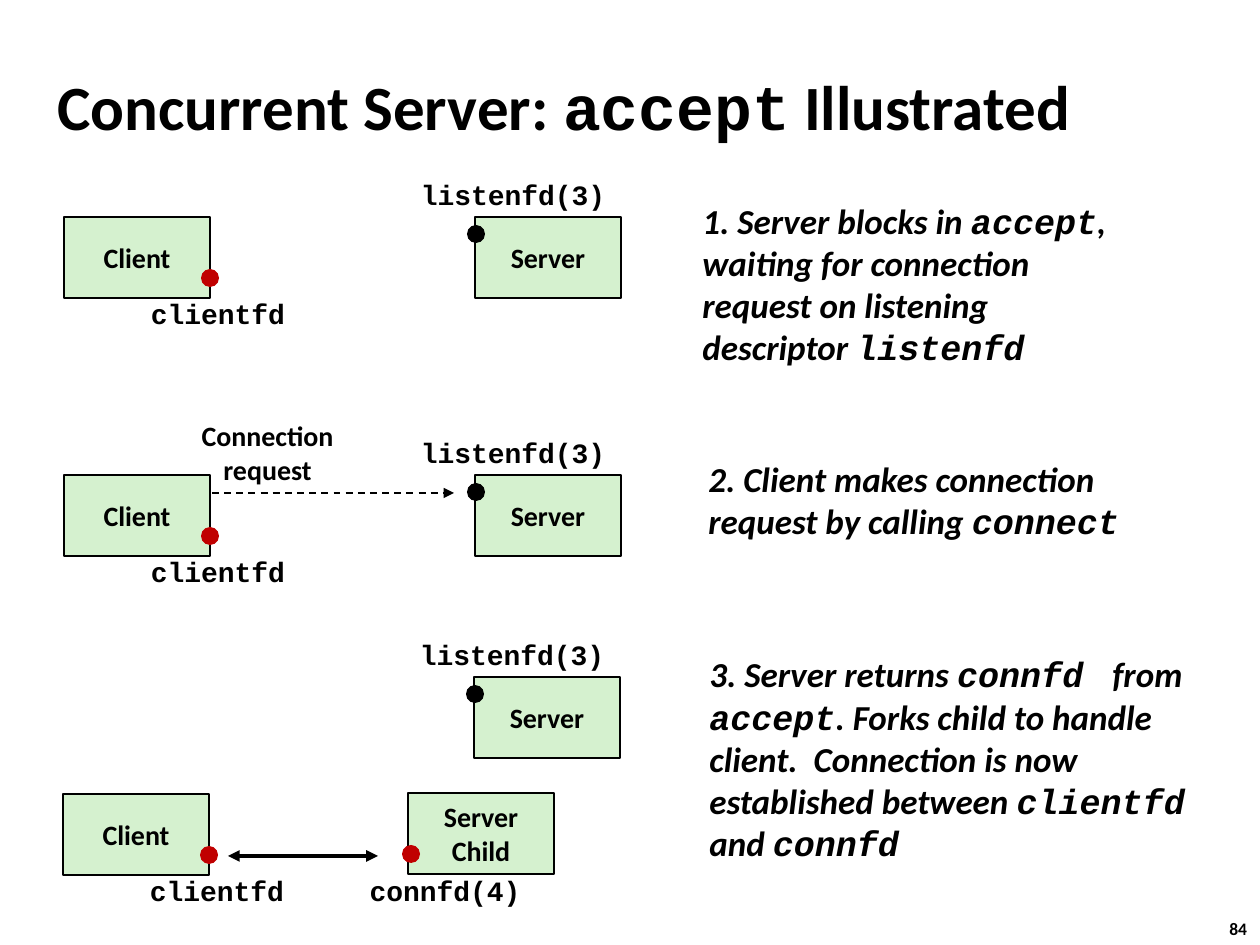
from lxml import etree
from pptx import Presentation
from pptx import util as u
from pptx.dml.color import RGBColor
from pptx.enum import dml, shapes, text
from pptx.oxml.ns import qn

PX = 914400 / 126
BLACK, RED, GREEN = "000000", "C00000", "D5F1CF"
SANS, MONO = "Calibri", "Courier New"
BOX_W, BOX_H, DOT, LABEL_H = 146, 81, 18, 47

TITLE = "Concurrent Server: `accept` Illustrated"
STEPS = [
    ((690, 192, 454, 183), "1. Server blocks in `accept`, waiting for connection "
     "request on listening descriptor `listenfd`"),
    ((696, 451, 505, 97), "2. Client makes connection request by calling `connect`"),
    ((697, 646, 553, 224), "3. Server returns `connfd ` from `accept`. Forks child to handle "
     "client.  Connection is now established between `clientfd` and `connfd`"),
]

ROLES = {
    "client": dict(name="Client", fd="clientfd", color=RED, dot=(137, 52), label=(74, 73, 160)),
    "server": dict(name="Server", fd="listenfd(3)", color=BLACK, dot=(-8, 8), label=(-67, -46, 210)),
    "child": dict(name="Server\nChild", fd="connfd(4)", color=RED, dot=(-6, 52), label=(-51, 74, 176)),
}
PROCESSES = [
    ("client", 64, 217), ("server", 475, 217),
    ("client", 64, 475), ("server", 475, 475),
    ("client", 63, 794), ("server", 474, 677), ("child", 408, 793),
]
ARROWS = [
    (212, 454, 493, 1, True, ["tailEnd"]),
    (228, 378, 856, 2.25, False, ["headEnd", "tailEnd"]),
]


def emu(*lengths):
    return [u.Emu(round(n * PX)) for n in lengths]


def rgb(color):
    return RGBColor.from_string(color)


def write(sp, content, size, align=None, italic=None, wrap=False):
    tf = sp.text_frame
    tf.word_wrap = wrap
    tf.vertical_anchor = text.MSO_ANCHOR.MIDDLE
    for i, line in enumerate(content.split("\n")):
        p = tf.paragraphs[0] if i == 0 else tf.add_paragraph()
        p.alignment = align
        for j, part in enumerate(line.split("`")):
            if part:
                r = p.add_run()
                r.text = part
                r.font.name = MONO if j % 2 else SANS
                r.font.size = u.Pt(size)
                r.font.bold = True
                r.font.italic = italic
                r.font.color.rgb = rgb(BLACK)


def add_text(s, box, content, size, **style):
    write(s.shapes.add_textbox(*emu(*box)), content, size, **style)


def add_shape(s, kind, box, fill, outlined=False):
    sp = s.shapes.add_shape(kind, *emu(*box))
    sp.shadow.inherit = False
    sp.fill.solid()
    sp.fill.fore_color.rgb = rgb(fill)
    if outlined:
        sp.line.color.rgb = rgb(BLACK)
        sp.line.width = u.Pt(1)
    else:
        sp.line.fill.background()
    return sp


def add_process(s, role, x, y):
    center = text.PP_ALIGN.CENTER
    box = add_shape(s, shapes.MSO_SHAPE.RECTANGLE, (x, y, BOX_W, BOX_H), GREEN, True)
    write(box, role["name"], 16, align=center)
    dx, dy = role["dot"]
    add_shape(s, shapes.MSO_SHAPE.OVAL, (x + dx, y + dy, DOT, DOT), role["color"])
    dx, dy, width = role["label"]
    add_text(s, (x + dx, y + dy, width, LABEL_H), f"`{role['fd']}`", 16, align=center)


def add_arrow(s, x1, x2, y, width, dashed, ends):
    line = s.shapes.add_connector(shapes.MSO_CONNECTOR.STRAIGHT, *emu(x1, y, x2, y))
    line.line.color.rgb = rgb(BLACK)
    line.line.width = u.Pt(width)
    if dashed:
        line.line.dash_style = dml.MSO_LINE.DASH
    ln = line.line._get_or_add_ln()
    for end in ends:
        etree.SubElement(ln, qn(f"a:{end}"), type="triangle")
    etree.SubElement(line._element.spPr, qn("a:effectLst"))


def main():
    prs = Presentation()
    prs.slide_width, prs.slide_height = emu(1260, 945)
    s = prs.slides.add_slide(prs.slide_layouts[6])
    add_text(s, (45, 66, 1155, 79), TITLE, 36, wrap=True)
    for process, x, y in PROCESSES:
        add_process(s, ROLES[process], x, y)
    add_text(s, (188, 412, 159, 81), "Connection\nrequest", 16, align=text.PP_ALIGN.CENTER)
    for arrow in ARROWS:
        add_arrow(s, *arrow)
    for box, content in STEPS:
        add_text(s, box, content, 20, italic=True, wrap=True)
    add_text(s, (1217, 911, 47, 34), "84", 10)
    prs.save("out.pptx")


if __name__ == "__main__":
    main()
